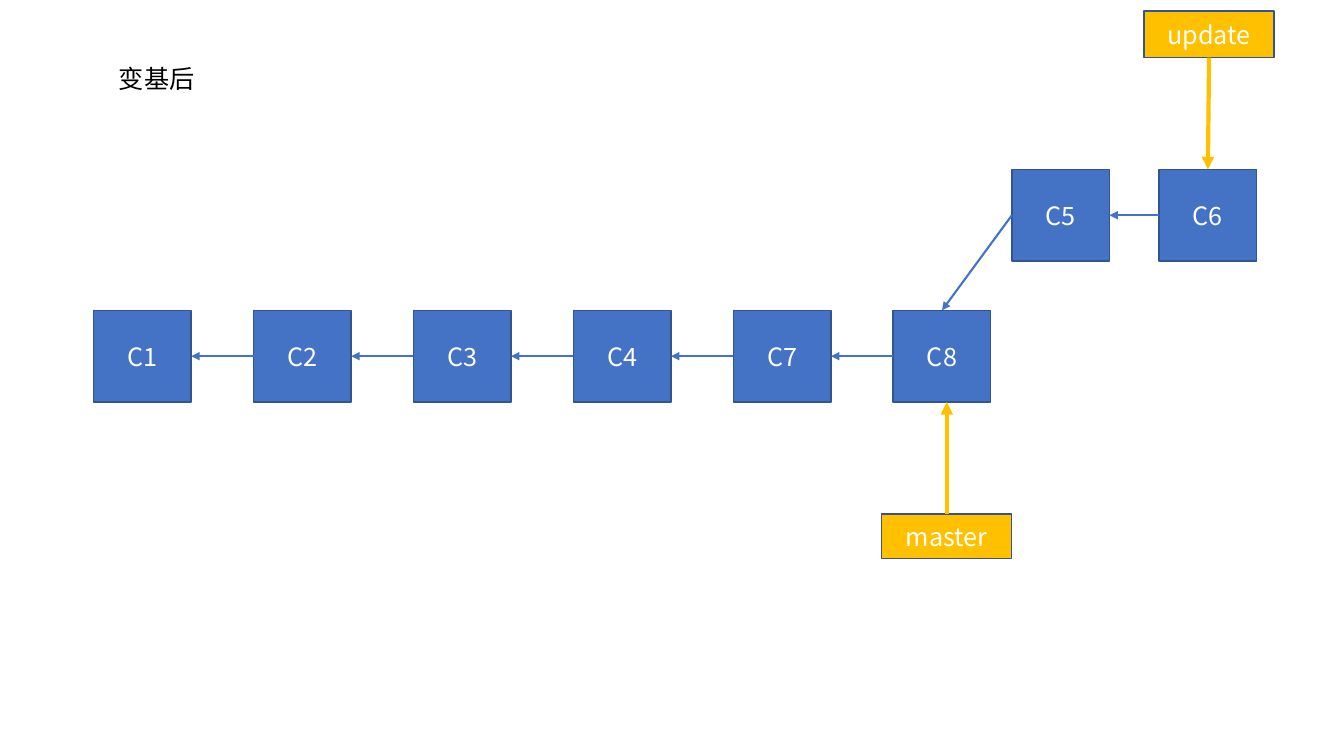
"""Build the slide that shows the commit graph after a rebase."""
from dataclasses import dataclass

from lxml import etree
from pptx import Presentation
from pptx import util as u
from pptx.dml.color import RGBColor
from pptx.enum import shapes, text
from pptx.oxml import ns

COLORS = {"commit": "4472C4", "branch": "FFC000", "outline": "325491",
          "label": "FFFFFF", "heading": "000000"}
FONT = "Noto Sans CJK SC"
TOP, LEFT, BOTTOM, RIGHT = range(4)
COMMIT_WIDTH, COMMIT_HEIGHT = 2.46, 2.31
MAIN_LEFT, MAIN_TOP, MAIN_PITCH = 2.36, 7.82, 4.03
UPDATE_LEFT, UPDATE_TOP, UPDATE_PITCH = 25.5, 4.27, 3.71


@dataclass
class Node:
    name: str
    role: str
    left: float
    top: float
    width: float = COMMIT_WIDTH
    height: float = COMMIT_HEIGHT


@dataclass
class Arrow:
    source: str
    source_site: int
    target: str
    target_site: int
    role: str = "commit"
    weight: float = 1.5
    upright: bool = False


def write(frame, words: str, color: str, align) -> None:
    paragraph = frame.paragraphs[0]
    paragraph.alignment = align
    run = paragraph.add_run()
    run.text = words
    run.font.size = u.Pt(18)
    run.font.color.rgb = RGBColor.from_string(COLORS[color])
    run.font.name = FONT
    etree.SubElement(run.font._element, ns.qn("a:ea"), typeface=FONT)


def draw_node(slide, node: Node):
    box = slide.shapes.add_shape(
        shapes.MSO_SHAPE.RECTANGLE, u.Cm(node.left), u.Cm(node.top),
        u.Cm(node.width), u.Cm(node.height))
    box.shadow.inherit = False
    box.fill.solid()
    box.fill.fore_color.rgb = RGBColor.from_string(COLORS[node.role])
    box.line.color.rgb = RGBColor.from_string(COLORS["outline"])
    box.line.width = u.Pt(1)
    box.text_frame.vertical_anchor = text.MSO_ANCHOR.MIDDLE
    write(box.text_frame, node.name, "label", text.PP_ALIGN.CENTER)
    return box


def draw_arrow(slide, arrow: Arrow, boxes: dict) -> None:
    source, target = boxes[arrow.source], boxes[arrow.target]
    link = slide.shapes.add_connector(
        shapes.MSO_CONNECTOR.STRAIGHT, source.left + source.width // 2, source.top,
        source.left + source.width // 2, target.top + target.height)
    link.begin_connect(source, arrow.source_site)
    if not arrow.upright:
        link.end_connect(target, arrow.target_site)
    link.line.color.rgb = RGBColor.from_string(COLORS[arrow.role])
    link.line.width = u.Pt(arrow.weight)
    etree.SubElement(link.line._get_or_add_ln(), ns.qn("a:tailEnd"), type="triangle")
    etree.SubElement(link._element.spPr, ns.qn("a:effectLst"))


def draw_heading(slide, words: str) -> None:
    heading = slide.shapes.title
    heading.left, heading.top = u.Cm(2.74), u.Cm(1.47)
    heading.width, heading.height = u.Cm(6.12), u.Cm(1.02)
    frame = heading.text_frame
    frame.word_wrap = True
    frame.auto_size = text.MSO_AUTO_SIZE.SHAPE_TO_FIT_TEXT
    frame.vertical_anchor = text.MSO_ANCHOR.TOP
    write(frame, words, "heading", text.PP_ALIGN.LEFT)


def main() -> None:
    deck = Presentation()
    deck.slide_width, deck.slide_height = u.Cm(33.87), u.Cm(19.05)
    slide = deck.slides.add_slide(deck.slide_layouts[5])
    draw_heading(slide, "变基后")

    main_line = ["C1", "C2", "C3", "C4", "C7", "C8"]
    update_line = ["C5", "C6"]
    nodes = [Node(name, "commit", MAIN_LEFT + i * MAIN_PITCH, MAIN_TOP)
             for i, name in enumerate(main_line)]
    nodes += [Node(name, "commit", UPDATE_LEFT + i * UPDATE_PITCH, UPDATE_TOP)
              for i, name in enumerate(update_line)]
    nodes += [Node("master", "branch", 22.22, 12.95, 3.28, 1.12),
              Node("update", "branch", 28.83, 0.28, 3.28, 1.17)]
    boxes = {node.name: draw_node(slide, node) for node in nodes}

    arrows = [Arrow(child, LEFT, parent, RIGHT)
              for line in (main_line, update_line)
              for parent, child in zip(line, line[1:])]
    arrows += [Arrow("C5", LEFT, "C8", TOP),
               Arrow("master", TOP, "C8", BOTTOM, "branch", 3, upright=True),
               Arrow("update", BOTTOM, "C6", TOP, "branch", 3)]
    for arrow in arrows:
        draw_arrow(slide, arrow, boxes)
    deck.save("out.pptx")


main()
